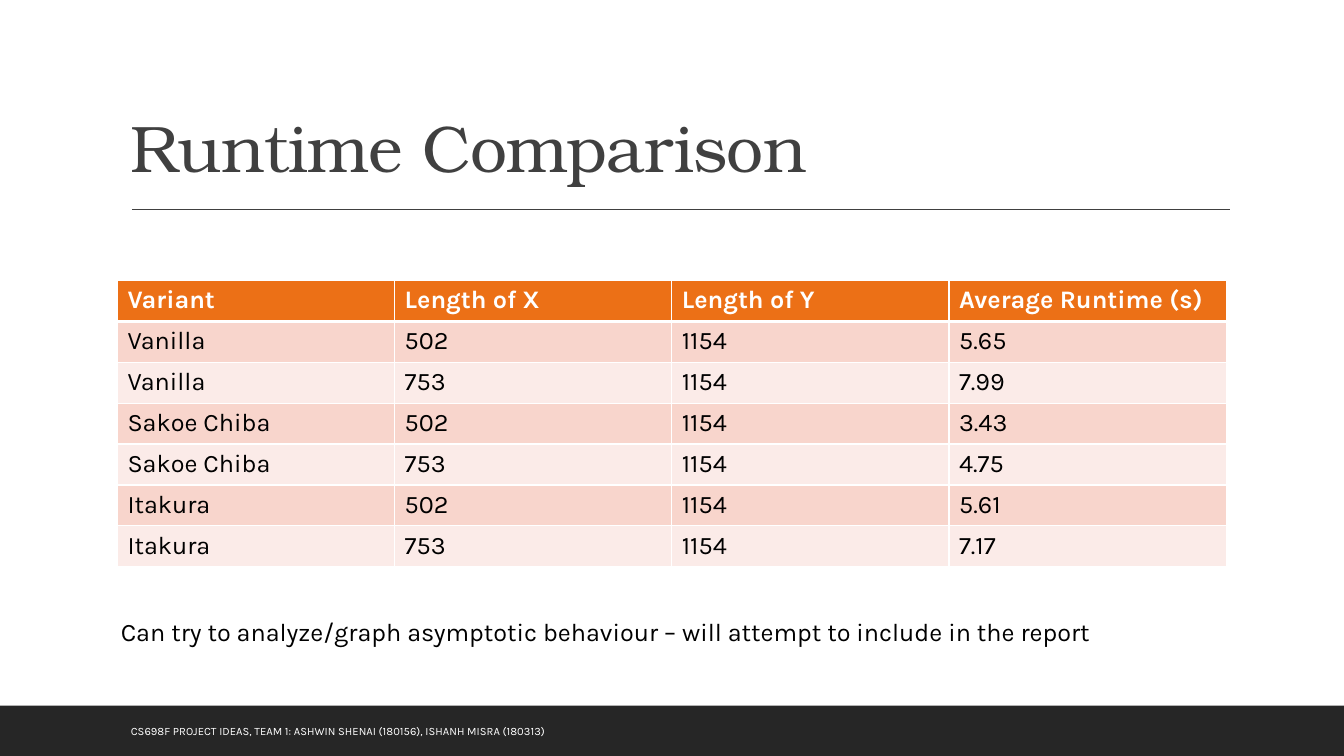
from dataclasses import dataclass

from lxml.etree import SubElement
from pptx import Presentation
from pptx.dml.color import RGBColor
from pptx.enum.shapes import MSO_CONNECTOR, MSO_SHAPE
from pptx.enum.text import MSO_ANCHOR
from pptx.oxml.ns import qn
from pptx.util import Pt


@dataclass(frozen=True)
class Theme:
    serif: str = "TeX Gyre Bonum"
    sans: str = "Karla"
    white: str = "FFFFFF"
    black: str = "000000"
    gray: str = "404040"
    dark: str = "262626"
    head: str = "EC7016"
    bands: tuple = ("F8D5CC", "FBEBE8")
    title: float = 47
    body: float = 18
    small: float = 8


def write(frame, text, font, size, color, bold=False, spacing=None, track=None):
    """Put formatted text into a text frame."""
    para = frame.paragraphs[0]
    if spacing:
        para.line_spacing = spacing
    run = para.add_run()
    run.text = text
    run.font.name = font
    run.font.size = Pt(size)
    run.font.bold = bold
    run.font.color.rgb = RGBColor.from_string(color)
    if track is not None:
        run.font._element.set("spc", str(int(track * 100)))


class Painter:
    def __init__(self, slide, theme):
        self.shapes = slide.shapes
        self.theme = theme

    def bar(self, left, top, width, height, color):
        box = self.shapes.add_shape(
            MSO_SHAPE.RECTANGLE, Pt(left), Pt(top), Pt(width), Pt(height))
        box.shadow.inherit = False
        box.fill.solid()
        box.fill.fore_color.rgb = RGBColor.from_string(color)
        box.line.fill.background()

    def rule(self, left, right, top, color):
        line = self.shapes.add_connector(
            MSO_CONNECTOR.STRAIGHT, Pt(left), Pt(top), Pt(right), Pt(top))
        line.line.color.rgb = RGBColor.from_string(color)
        line.line.width = Pt(1)
        SubElement(line._element.spPr, qn("a:effectLst"))

    def text(self, left, top, width, height, text, anchor=MSO_ANCHOR.TOP, **style):
        box = self.shapes.add_textbox(Pt(left), Pt(top), Pt(width), Pt(height))
        box.text_frame.word_wrap = True
        box.text_frame.vertical_anchor = anchor
        write(box.text_frame, text, **style)

    def edges(self, cell, **widths):
        props = cell._tc.get_or_add_tcPr()
        for side, width in widths.items():
            edge = SubElement(props, qn(f"a:ln{side}"), w=str(Pt(width)))
            fill = SubElement(edge, qn("a:solidFill"))
            SubElement(fill, qn("a:srgbClr"), val=self.theme.white)

    def table(self, left, top, width, height, rows):
        look = self.theme
        grid = self.shapes.add_table(
            len(rows), len(rows[0]), Pt(left), Pt(top), Pt(width), Pt(height)).table
        for line in grid.rows:
            line.height = Pt(height / len(rows))
        for r, row in enumerate(rows):
            head = r == 0
            shade = look.head if head else look.bands[(r - 1) % 2]
            for c, value in enumerate(row):
                cell = grid.cell(r, c)
                # Borders come before the fill in the cell properties
                self.edges(cell, L=1, R=1, T=3 if r == 1 else 1, B=3 if head else 1)
                cell.fill.solid()
                cell.fill.fore_color.rgb = RGBColor.from_string(shade)
                write(cell.text_frame, value, font=look.sans, size=look.body,
                      color=look.white if head else look.black, bold=head)


def main():
    deck = Presentation()
    deck.slide_width, deck.slide_height = Pt(960), Pt(540)
    look = Theme()
    page = Painter(deck.slides.add_slide(deck.slide_layouts[6]), look)

    # Footer bar and title rule
    page.bar(0, 504, 960, 36, look.dark)
    page.rule(94.3, 878.8, 149.5, look.gray)

    # Title
    page.text(86.4, 22.4, 792, 114.4, "Runtime Comparison", anchor=MSO_ANCHOR.BOTTOM,
              font=look.serif, size=look.title, color=look.gray,
              spacing=0.9, track=-0.5)

    # Runtime table
    page.table(83.9, 200.4, 792, 204.4, [
        ("Variant", "Length of X", "Length of Y", "Average Runtime (s)"),
        ("Vanilla", "502", "1154", "5.65"),
        ("Vanilla", "753", "1154", "7.99"),
        ("Sakoe Chiba", "502", "1154", "3.43"),
        ("Sakoe Chiba", "753", "1154", "4.75"),
        ("Itakura", "502", "1154", "5.61"),
        ("Itakura", "753", "1154", "7.17"),
    ])

    # Footer text and closing remark
    page.text(86.4, 507.9, 537, 28.8,
              "CS698F PROJECT IDEAS, TEAM 1: ASHWIN SHENAI (180156), ISHANH MISRA (180313)",
              anchor=MSO_ANCHOR.MIDDLE, font=look.sans, size=look.small, color=look.white)
    page.text(79.2, 436.5, 785.5, 29,
              "Can try to analyze/graph asymptotic behaviour – will attempt to include in the report",
              font=look.sans, size=look.body, color=look.black)

    deck.save("out.pptx")


if __name__ == "__main__":
    main()
